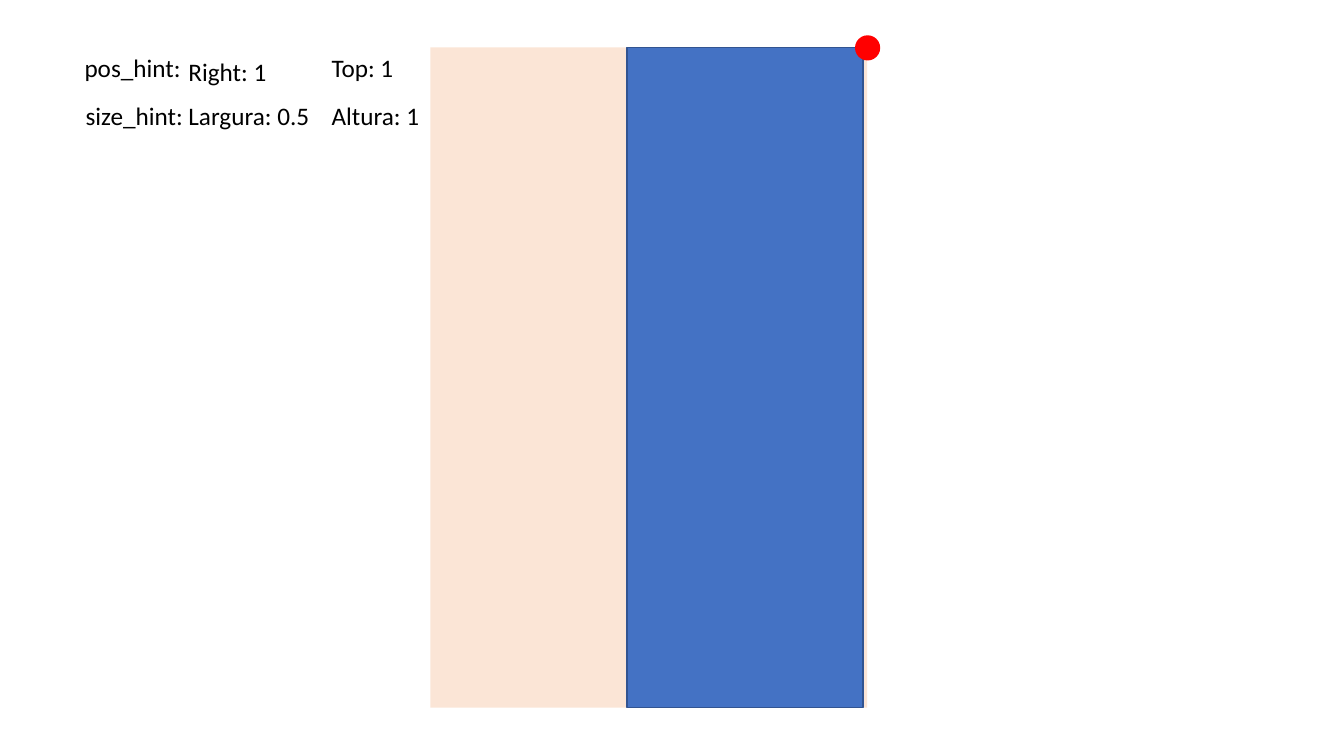
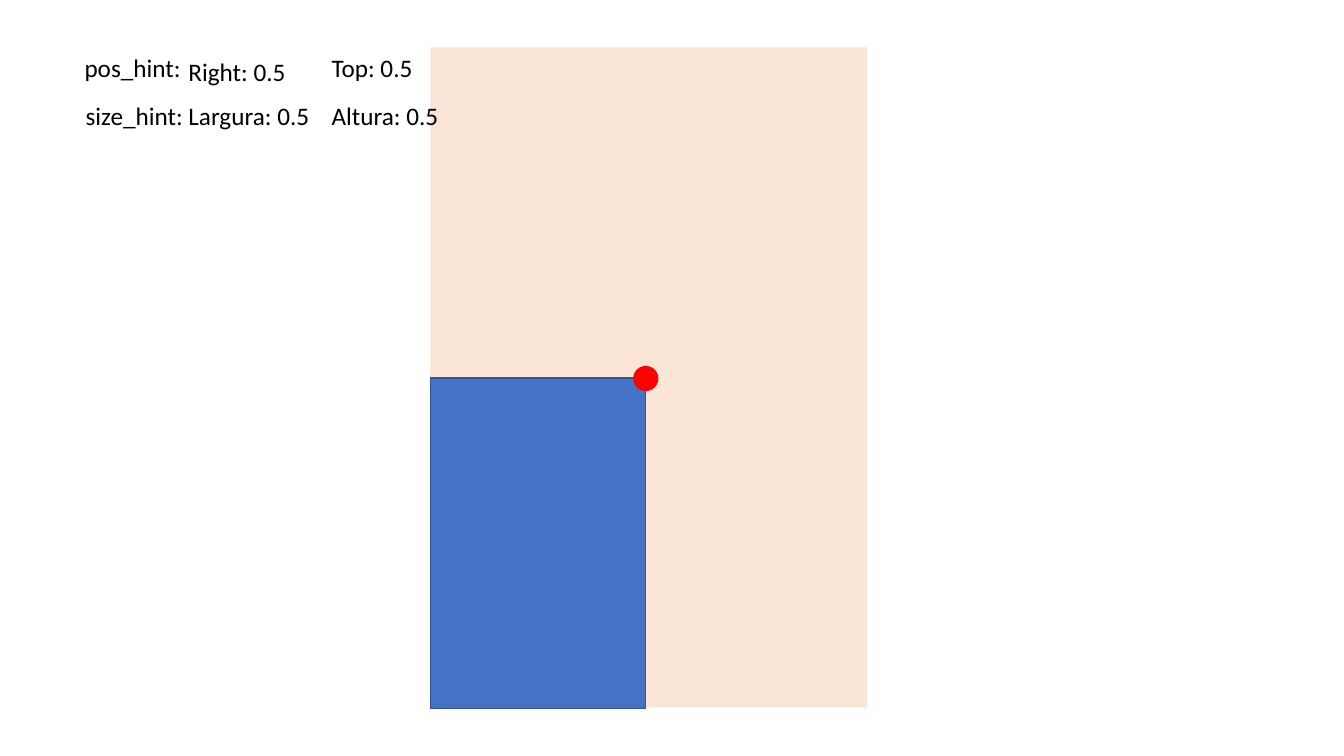
from pptx import Presentation
from pptx import util as u
from pptx.dml.color import RGBColor
from pptx.enum import shapes, text

PX = 9144  # EMU per px, 100 px to the inch
FONT = "Calibri"
COLORS = {"screen": "FBE5D6", "widget": "4472C4", "border": "325491",
          "anchor": "FF0000", "text": "000000"}
SCREEN = (427, 47, 433, 655)
ANCHOR_SIZE = 25
LABEL_HEIGHT = 40

# Each hint: name, left, top, width of its label
HINTS = (("pos_hint:", 74, 47, 117), ("size_hint:", 75, 95, 118))
# Each value: caption, left, top
VALUES = (("Right", 177, 51), ("Top", 319, 47),
          ("Largura", 177, 95), ("Altura", 319, 95))

# Each example: values with label widths, widget box, anchor centre
EXAMPLES = (
    {"values": (("1", 99), ("1", 82), ("0.5", 142), ("1", 108)),
     "widget": (622, 47, 234, 655), "anchor": (860, 47)},
    {"values": (("0.5", 118), ("0.5", 101), ("0.5", 142), ("0.5", 127)),
     "widget": (427, 375, 213, 328), "anchor": (640, 375)},
)


def px(*lengths):
    return [u.Emu(length * PX) for length in lengths]


def color(name):
    return RGBColor.from_string(COLORS[name])


def add_block(slide, kind, box, fill, border=None):
    shape = slide.shapes.add_shape(kind, *px(*box))
    shape.shadow.inherit = False
    shape.fill.solid()
    shape.fill.fore_color.rgb = color(fill)
    if border:
        shape.line.color.rgb = color(border)
        shape.line.width = u.Pt(1)
    else:
        shape.line.fill.background()


def add_label(slide, caption, left, top, width):
    frame = slide.shapes.add_textbox(*px(left, top, width, LABEL_HEIGHT)).text_frame
    frame.word_wrap = False
    frame.auto_size = text.MSO_AUTO_SIZE.SHAPE_TO_FIT_TEXT
    run = frame.paragraphs[0].add_run()
    run.text = caption
    for name, value in {"name": FONT, "size": u.Pt(18)}.items():
        setattr(run.font, name, value)
    run.font.color.rgb = color("text")


def add_anchor(slide, center):
    left, top = (middle - ANCHOR_SIZE // 2 for middle in center)
    add_block(slide, shapes.MSO_SHAPE.OVAL,
              (left, top, ANCHOR_SIZE, ANCHOR_SIZE), "anchor")


def add_example(presentation, example):
    slide = presentation.slides.add_slide(presentation.slide_layouts[6])
    rectangle = shapes.MSO_SHAPE.RECTANGLE
    add_block(slide, rectangle, SCREEN, "screen")
    add_block(slide, rectangle, example["widget"], "widget", "border")
    add_anchor(slide, example["anchor"])
    for hint in HINTS:
        add_label(slide, *hint)
    for (caption, left, top), (value, width) in zip(VALUES, example["values"]):
        add_label(slide, f"{caption}: {value}", left, top, width)


def main():
    presentation = Presentation()
    presentation.slide_width, presentation.slide_height = px(1333, 750)
    for example in EXAMPLES:
        add_example(presentation, example)
    presentation.save("out.pptx")


if __name__ == "__main__":
    main()
